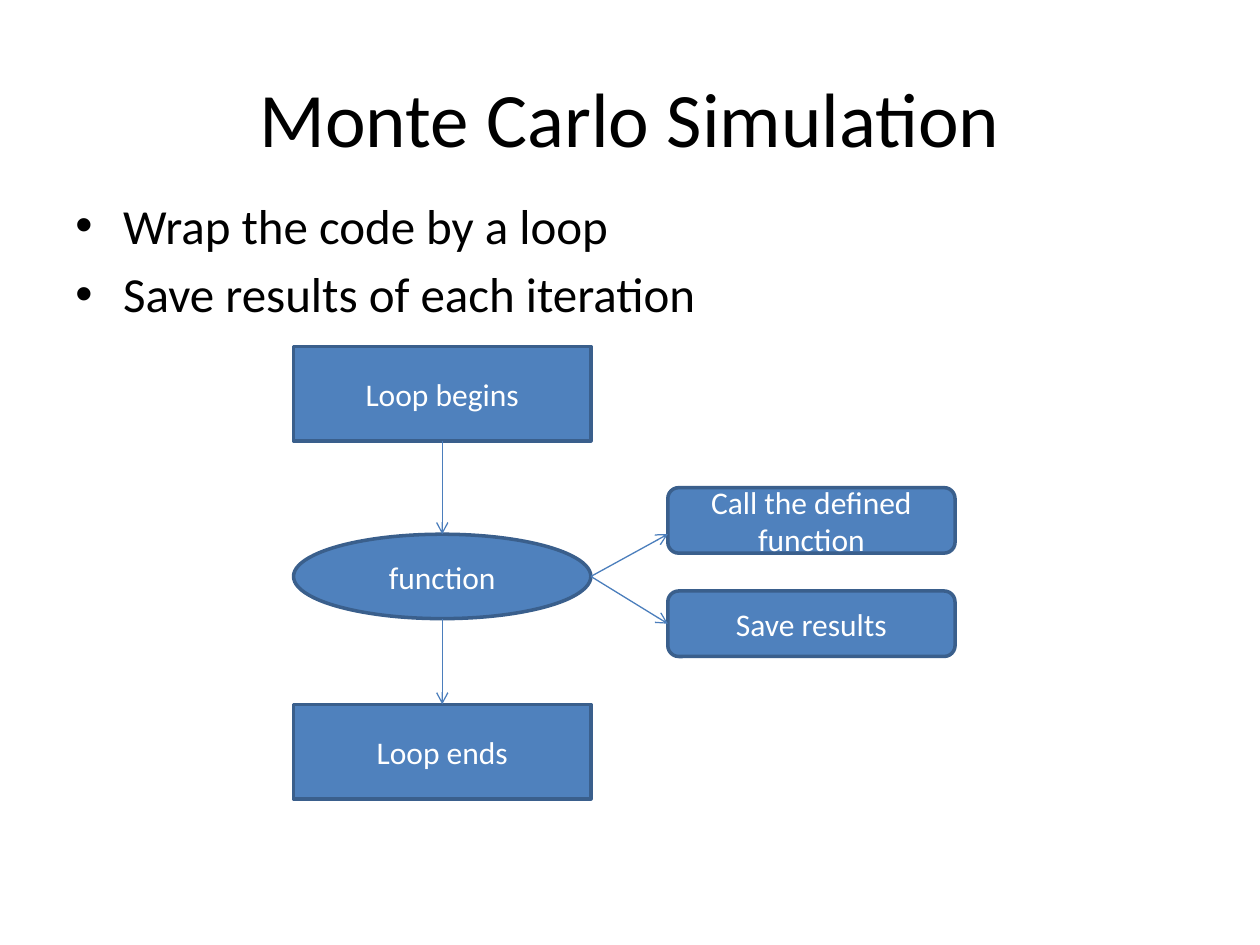
from lxml import etree
from pptx import Presentation
from pptx.dml.color import RGBColor
from pptx.enum.shapes import MSO_CONNECTOR, MSO_SHAPE
from pptx.enum.text import MSO_ANCHOR, PP_ALIGN
from pptx.oxml.ns import qn
from pptx.util import Inches, Pt

RECTANGLE, OVAL, ROUNDED = MSO_SHAPE.RECTANGLE, MSO_SHAPE.OVAL, MSO_SHAPE.ROUNDED_RECTANGLE
STRAIGHT = MSO_CONNECTOR.STRAIGHT
TOP, MIDDLE = MSO_ANCHOR.TOP, MSO_ANCHOR.MIDDLE
LEFT, CENTER = PP_ALIGN.LEFT, PP_ALIGN.CENTER

FONT = "Calibri"
COLORS = {"text": "000000", "label": "FFFFFF", "fill": "4F81BD",
          "outline": "3A5F8C", "arrow": "4B7EBC"}

TITLE = "Monte Carlo Simulation"
BULLETS = ["Wrap the code by a loop", "Save results of each iteration"]

# Each column: left, width, then its steps as (label, shape, top, height)
LOOP_COLUMN = (2.33, 2.36, [
    ("Loop begins", RECTANGLE, 2.75, 0.75),
    ("function", OVAL, 4.24, 0.67),
    ("Loop ends", RECTANGLE, 5.59, 0.75),
])
TASK_COLUMN = (5.3, 2.28, [
    ("Call the defined function", ROUNDED, 3.87, 0.52),
    ("Save results", ROUNDED, 4.69, 0.52),
])
TASK_ARROW_ENDS = [4.24, 4.95]


def color(name):
    return RGBColor.from_string(COLORS[name])


def write_text(shape, lines, size=18, ink="label", align=CENTER, anchor=MIDDLE,
               bullet=None, space_before=0):
    frame = shape.text_frame
    frame.word_wrap = True
    frame.vertical_anchor = anchor
    for index, line in enumerate(lines):
        para = frame.paragraphs[0] if index == 0 else frame.add_paragraph()
        para.alignment = align
        para.space_before = Pt(space_before)
        span = para.add_run()
        span.text = line
        span.font.name = FONT
        span.font.size = Pt(size)
        span.font.color.rgb = color(ink)
        if bullet:
            properties = para._p.get_or_add_pPr()
            properties.set("marL", str(Inches(0.38)))
            properties.set("indent", str(-Inches(0.38)))
            etree.SubElement(properties, qn("a:buFont"), typeface="Arial")
            etree.SubElement(properties, qn("a:buChar"), char=bullet)


def add_text_box(slide, left, top, width, height, lines, **text_format):
    box = slide.shapes.add_textbox(*map(Inches, (left, top, width, height)))
    write_text(box, lines, **text_format)


def add_column(slide, left, width, steps):
    for label, kind, top, height in steps:
        step = slide.shapes.add_shape(kind, *map(Inches, (left, top, width, height)))
        step.shadow.inherit = False
        step.fill.solid()
        step.fill.fore_color.rgb = color("fill")
        step.line.color.rgb = color("outline")
        step.line.width = Pt(2)
        write_text(step, [label])


def add_arrow(slide, start, end):
    arrow = slide.shapes.add_connector(STRAIGHT, *map(Inches, (*start, *end)))
    arrow.line.color.rgb = color("arrow")
    arrow.line.width = Pt(0.75)
    etree.SubElement(arrow.line._get_or_add_ln(), qn("a:tailEnd"), type="arrow")
    etree.SubElement(arrow._element.spPr, qn("a:effectLst"))


def main():
    deck = Presentation()
    deck.slide_width, deck.slide_height = Inches(10), Inches(7.5)
    slide = deck.slides.add_slide(deck.slide_layouts[6])

    add_text_box(slide, 0.5, 0.3, 9, 1.25, [TITLE], size=44, ink="text")
    add_text_box(slide, 0.5, 1.5, 9, 6, BULLETS, size=28, ink="text", align=LEFT,
                 anchor=TOP, bullet="•", space_before=5.6)

    add_column(slide, *LOOP_COLUMN)
    add_column(slide, *TASK_COLUMN)

    left, width, steps = LOOP_COLUMN
    middle = left + width / 2
    for (_, _, top, height), (_, _, next_top, _) in zip(steps, steps[1:]):
        add_arrow(slide, (middle, top + height), (middle, next_top))

    _, _, function_top, function_height = steps[1]
    function_side = (left + width, function_top + function_height / 2)
    for end in TASK_ARROW_ENDS:
        add_arrow(slide, function_side, (TASK_COLUMN[0], end))

    deck.save("out.pptx")


if __name__ == "__main__":
    main()
